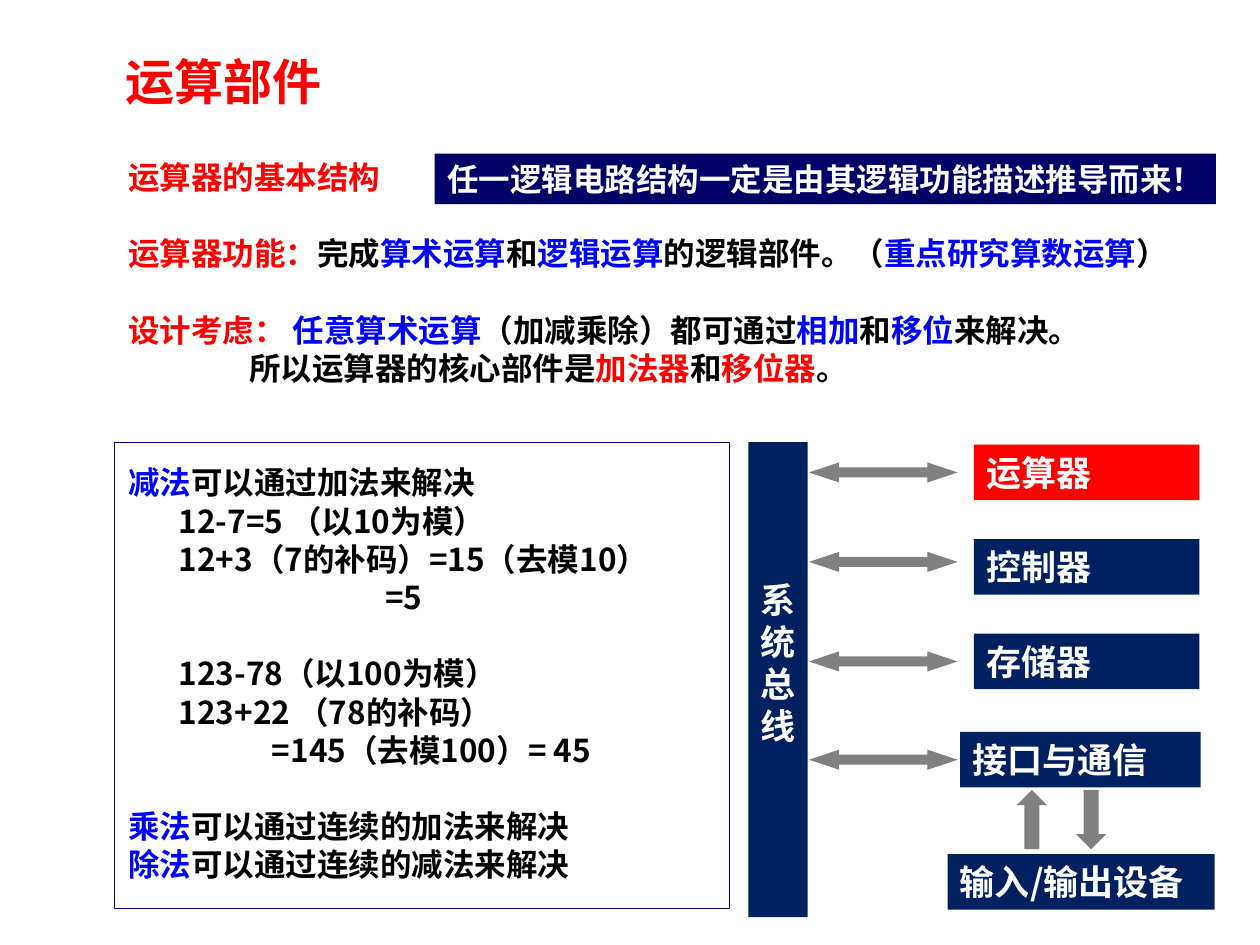
import pptx
import pptx.util
import pptx.dml.color
import pptx.enum.shapes
import pptx.enum.text
import pptx.oxml
import pptx.oxml.ns

Inches, Pt = pptx.util.Inches, pptx.util.Pt
RGBColor = pptx.dml.color.RGBColor
SHAPES = pptx.enum.shapes.MSO_SHAPE
ALIGN = pptx.enum.text.PP_ALIGN
MIDDLE = pptx.enum.text.MSO_ANCHOR.MIDDLE

FONT = "Noto Sans CJK SC"
RED = RGBColor(0xFF, 0x00, 0x00)
BLUE = RGBColor(0x00, 0x00, 0xFF)
BLACK = RGBColor(0x00, 0x00, 0x00)
WHITE = RGBColor(0xFF, 0xFF, 0xFF)
NAVY = RGBColor(0x00, 0x20, 0x60)
INDIGO = RGBColor(0x00, 0x00, 0x66)
GREY = RGBColor(0x80, 0x80, 0x80)

TITLE = "运算部件"
CLAIM = "任一逻辑电路结构一定是由其逻辑功能描述推导而来！"
BUS = "系统总线"

# (empty lines above, indent in inches, coloured pieces)
BODY = [
    (0, 0, [("运算器的基本结构", RED)]),
    (1, 0, [("运算器功能：", RED), ("完成", BLACK), ("算术运算", BLUE),
            ("和", BLACK), ("逻辑运算", BLUE), ("的逻辑部件。（", BLACK),
            ("重点研究算数运算", BLUE), ("）", BLACK)]),
    (1, 0, [("设计考虑： ", RED), ("任意算术运算", BLUE),
            ("（加减乘除）都可通过", BLACK), ("相加", BLUE), ("和", BLACK),
            ("移位", BLUE), ("来解决。", BLACK)]),
    (0, 0.96, [("所以运算器的核心部件是", BLACK), ("加法器", RED),
               ("和", BLACK), ("移位器", RED), ("。", BLACK)]),
    (2, 0, [("减法", BLUE), ("可以通过加法来解决", BLACK)]),
    (0, 0.4, [("12-7=5 （以10为模）", BLACK)]),
    (0, 0.4, [("12+3（7的补码）=15（去模10）", BLACK)]),
    (0, 2.04, [("=5", BLACK)]),
    (1, 0.4, [("123-78（以100为模）", BLACK)]),
    (0, 0.4, [("123+22 （78的补码）", BLACK)]),
    (0, 1.14, [("=145（去模100）= 45", BLACK)]),
    (1, 0, [("乘法", BLUE), ("可以通过连续的加法来解决", BLACK)]),
    (0, 0, [("除法", BLUE), ("可以通过连续的减法来解决", BLACK)]),
]
BODY_PITCH = 21.84  # points from line to line
BUS_PITCH = 24

# (text, left, width, centre height, fill)
UNITS = [
    ("运算器", 7.73, 1.79, 3.75, RED),
    ("控制器", 7.73, 1.79, 4.5, NAVY),
    ("存储器", 7.73, 1.79, 5.25, NAVY),
    ("接口与通信", 7.62, 1.91, 6.03, NAVY),
    ("输入/输出设备", 7.52, 2.12, 7.0, NAVY),
]
UNIT_HEIGHT = 0.44
BUS_LEFT, BUS_WIDTH = 5.94, 0.47
BUS_ARROW_CENTRES = [3.75, 4.46, 5.25, 6.03]
BUS_ARROW_WIDTH, BUS_ARROW_HEIGHT = 1.18, 0.16
DEVICE_ARROWS = [(SHAPES.UP_ARROW, 8.07), (SHAPES.DOWN_ARROW, 8.54)]


def style_run(run, size, color):
    run.font.size = Pt(size)
    run.font.bold = True
    run.font.color.rgb = color
    run.font.name = FONT
    east_asian = pptx.oxml.parse_xml(
        f'<a:ea {pptx.oxml.ns.nsdecls("a")} typeface="{FONT}"/>')
    run.font.fill  # the fill element precedes the fonts
    run.font._rPr.append(east_asian)


def add_block(slide, preset, box, fill=None, line=None):
    block = slide.shapes.add_shape(preset, *map(Inches, box))
    block.shadow.inherit = False
    if fill is None:
        block.fill.background()
    else:
        block.fill.solid()
        block.fill.fore_color.rgb = fill
    if line is None:
        block.line.fill.background()
    else:
        block.line.color.rgb = line
        block.line.width = Pt(0.75)
    return block


def write_label(block, text, size, color, align=ALIGN.LEFT, pitch=None):
    frame = block.text_frame
    frame.word_wrap = False
    frame.vertical_anchor = MIDDLE
    frame.text = text
    for paragraph in frame.paragraphs:
        paragraph.alignment = align
        if pitch:
            paragraph.line_spacing = Pt(pitch)
        for run in paragraph.runs:
            style_run(run, size, color)
    return frame


def add_body(slide):
    frame = slide.shapes.add_textbox(
        Inches(0.92), Inches(1.2), Inches(9.08), Inches(5.94)).text_frame
    frame.word_wrap = True
    for index, (gap, indent, pieces) in enumerate(BODY):
        paragraph = frame.add_paragraph() if index else frame.paragraphs[0]
        paragraph.line_spacing = Pt(BODY_PITCH)
        if gap:
            paragraph.space_before = Pt(gap * BODY_PITCH)
        if indent:
            paragraph._p.get_or_add_pPr().set("marL", str(Inches(indent)))
        for text, color in pieces:
            run = paragraph.add_run()
            run.text = text
            style_run(run, 18, color)


def add_bus_diagram(slide):
    bus = add_block(slide, SHAPES.RECTANGLE, (BUS_LEFT, 3.51, BUS_WIDTH, 3.77), NAVY)
    frame = write_label(bus, "\n".join(BUS), 20, WHITE, ALIGN.CENTER, BUS_PITCH)
    frame.margin_bottom = Inches(0.33)

    for text, left, width, centre, fill in UNITS:
        box = (left, centre - UNIT_HEIGHT / 2, width, UNIT_HEIGHT)
        write_label(add_block(slide, SHAPES.RECTANGLE, box, fill), text, 20, WHITE)

    for centre in BUS_ARROW_CENTRES:
        arrow = add_block(slide, SHAPES.LEFT_RIGHT_ARROW,
                          (BUS_LEFT + BUS_WIDTH + 0.01, centre - BUS_ARROW_HEIGHT / 2,
                           BUS_ARROW_WIDTH, BUS_ARROW_HEIGHT), GREY)
        arrow.adjustments[1] = 1.5

    for preset, left in DEVICE_ARROWS:
        add_block(slide, preset, (left, 6.27, 0.24, 0.47), GREY)


def main():
    deck = pptx.Presentation()
    deck.slide_width, deck.slide_height = Inches(10), Inches(7.5)
    slide = deck.slides.add_slide(deck.slide_layouts[6])

    add_body(slide)
    add_bus_diagram(slide)
    title = slide.shapes.add_textbox(
        Inches(0.9), Inches(0.36), Inches(5.28), Inches(0.57))
    write_label(title, TITLE, 28, RED)
    claim = add_block(slide, SHAPES.RECTANGLE, (3.45, 1.22, 6.2, 0.4), INDIGO)
    write_label(claim, CLAIM, 18, WHITE)
    add_block(slide, SHAPES.RECTANGLE, (0.91, 3.51, 4.88, 3.7), line=INDIGO)
    deck.save("out.pptx")


if __name__ == "__main__":
    main()
